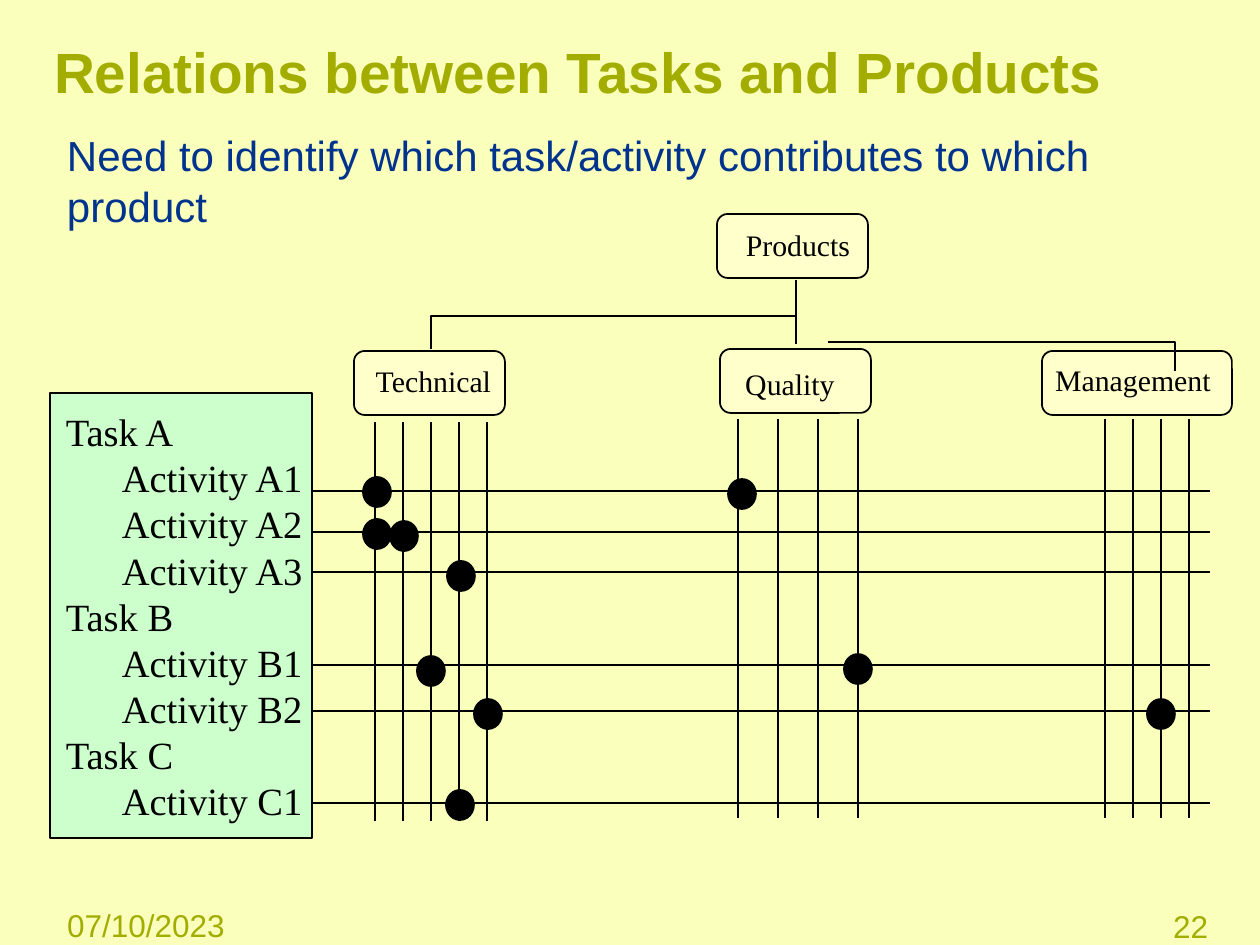
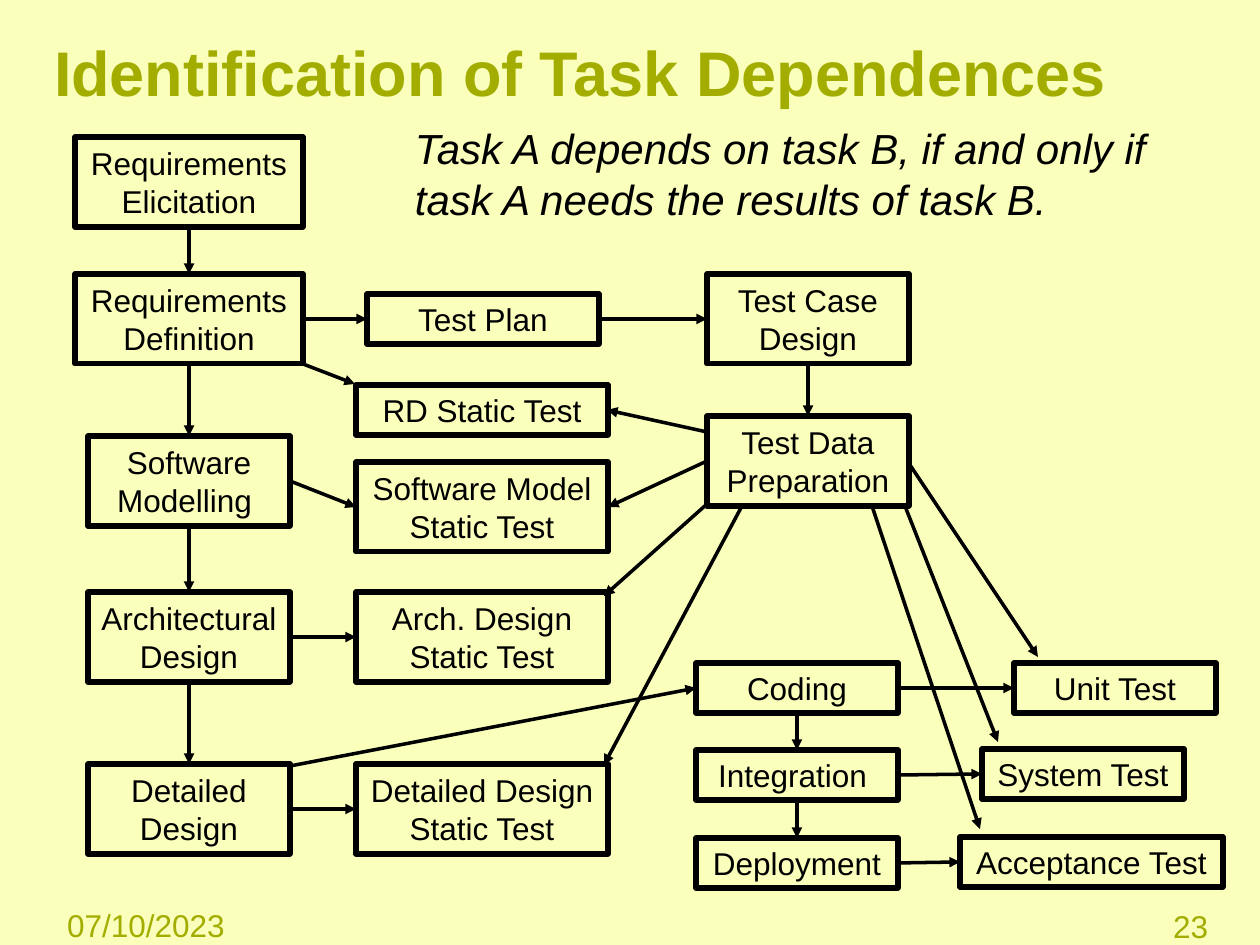
from dataclasses import dataclass

from lxml import etree
from pptx import Presentation
from pptx.dml.color import RGBColor
from pptx.enum.shapes import MSO_CONNECTOR, MSO_SHAPE
from pptx.enum.text import MSO_ANCHOR, PP_ALIGN
from pptx.oxml.ns import qn
from pptx.util import Pt

PX = 914400 / 126
STRAIGHT = MSO_CONNECTOR.STRAIGHT
RECTANGLE, ROUNDED, OVAL = MSO_SHAPE.RECTANGLE, MSO_SHAPE.ROUNDED_RECTANGLE, MSO_SHAPE.OVAL
LEFT, CENTER, RIGHT = PP_ALIGN.LEFT, PP_ALIGN.CENTER, PP_ALIGN.RIGHT
TOP, MIDDLE = MSO_ANCHOR.TOP, MSO_ANCHOR.MIDDLE
SITE_TOP, SITE_LEFT, SITE_BOTTOM, SITE_RIGHT = range(4)


@dataclass(frozen=True)
class Theme:
    paper: RGBColor = RGBColor(0xFB, 0xFF, 0xBC)
    olive: RGBColor = RGBColor(0xA2, 0xAD, 0x00)
    navy: RGBColor = RGBColor(0x00, 0x33, 0x8E)
    ink: RGBColor = RGBColor(0x00, 0x00, 0x00)
    cream: RGBColor = RGBColor(0xFF, 0xFF, 0xCC)
    mint: RGBColor = RGBColor(0xCC, 0xFF, 0xCC)
    sans: str = "Arial"
    serif: str = "Times New Roman"
    lead: int = 24
    task: int = 22
    label: int = 18
    product: int = 17
    leading: float = 1.2
    thin: int = 1
    arrow: int = 2
    frame: int = 3


theme = Theme()


def add_box(page, place, lines=(), size=theme.label, color=theme.ink, font=theme.sans,
            align=LEFT, anchor=TOP, inset=(13, 6), bold=False, italic=False,
            kind=None, fill=None, outline=theme.thin):
    """Add a text box, or a preset shape if kind is given; lines holds (text, indent) pairs."""
    left, top, width, height = [round(value * PX) for value in place]
    if kind is None:
        box = page.shapes.add_textbox(left, top, width, height)
    else:
        box = page.shapes.add_shape(kind, left, top, width, height)
        box.shadow.inherit = False
        box.line.color.rgb = theme.ink
        box.line.width = Pt(outline)
        if fill is None:
            box.fill.background()
        else:
            box.fill.solid()
            box.fill.fore_color.rgb = fill
    frame = box.text_frame
    frame.word_wrap = True
    frame.vertical_anchor = anchor
    frame.margin_left = frame.margin_right = round(inset[0] * PX)
    frame.margin_top = frame.margin_bottom = round(inset[1] * PX)
    for index, (text, indent) in enumerate(lines):
        para = frame.add_paragraph() if index else frame.paragraphs[0]
        para.alignment = align
        para.line_spacing = Pt(size * theme.leading)
        if indent:
            para._p.get_or_add_pPr().set("marL", str(round(indent * PX)))
        span = para.add_run()
        span.text = text
        span.font.name = font
        span.font.size = Pt(size)
        span.font.bold = bold
        span.font.italic = italic
        span.font.color.rgb = color
    return box


def add_line(page, start, end, width=theme.thin, arrow=False):
    points = [round(value * PX) for value in (*start, *end)]
    line = page.shapes.add_connector(STRAIGHT, *points)
    line.line.color.rgb = theme.ink
    line.line.width = Pt(width)
    properties = line.element.spPr
    if arrow:
        etree.SubElement(properties.find(qn("a:ln")), qn("a:tailEnd"), type="triangle")
    etree.SubElement(properties, qn("a:effectLst"))
    return line


deck = Presentation()
deck.slide_width, deck.slide_height = round(1260 * PX), round(945 * PX)

# Background, title and footer of both slides
pages = []
for title, title_size, number in [
    ("Relations between Tasks and Products", 32.4, "22"),
    ("Identification of Task Dependences", 36, "23"),
]:
    page = deck.slides.add_slide(deck.slide_layouts[6])
    page.background.fill.solid()
    page.background.fill.fore_color.rgb = theme.paper
    add_box(page, (54, 26, 1166, 90), [(title, 0)], title_size, theme.olive,
            anchor=MIDDLE, inset=(0, 6), bold=True)
    add_box(page, (54, 900, 236, 45), [("07/10/2023", 0)], color=theme.olive)
    add_box(page, (1115, 901, 106, 45), [(number, 0)], color=theme.olive, align=RIGHT)
    pages.append(page)
relations, dependences = pages

# Relations: product tree
for place in [(717, 214, 151, 64), (354, 351, 151, 64), (720, 349, 151, 64), (1042, 351, 190, 64)]:
    add_box(relations, place, kind=ROUNDED, fill=theme.cream)

for start, corner, end in [
    ((796, 316), (431, 316), (431, 349)),
    ((828, 342), (1175, 342), (1175, 371)),
]:
    builder = relations.shapes.build_freeform(*start, scale=PX)
    builder.add_line_segments([corner, end], close=False)
    branch = builder.convert_to_shape()
    branch.shadow.inherit = False
    branch.fill.background()
    branch.line.color.rgb = theme.ink
    branch.line.width = Pt(theme.thin)
add_line(relations, (796, 280), (796, 344))

for product, place in [
    ("Products", (693, 227, 210, 40)),
    ("Technical", (353, 363, 161, 40)),
    ("Quality", (713, 366, 154, 40)),
    ("Management", (1019, 362, 228, 40)),
]:
    add_box(relations, place, [(product, 0)], theme.product, font=theme.serif,
            align=CENTER, inset=(0, 0))

# Relations: task list
add_box(relations, (50, 393, 262, 445), kind=RECTANGLE, fill=theme.mint)
task_lines = []
for task, activity_count in [("A", 3), ("B", 2), ("C", 1)]:
    task_lines.append((f"Task {task}", 0))
    for step in range(1, activity_count + 1):
        task_lines.append((f"Activity {task}{step}", 56))
add_box(relations, (66, 408, 251, 422), task_lines, theme.task, font=theme.serif, inset=(0, 0))

# Relations: grid of activities against products, with a dot for each contribution
for y in (491, 532, 572, 665, 711, 803):
    add_line(relations, (312, y), (1210, y))
for columns, top in [
    (range(375, 488, 28), 422),
    (range(738, 859, 40), 419),
    (range(1105, 1190, 28), 419),
]:
    for x in columns:
        add_line(relations, (x, top), (x, top + 399))
for x, y in [(377, 492), (742, 494), (377, 534), (404, 536), (461, 576),
             (431, 671), (488, 714), (460, 805), (1161, 714), (858, 669)]:
    add_box(relations, (x - 14, y - 15, 28, 30), kind=OVAL, fill=theme.ink)

add_box(relations, (54, 124, 1106, 115),
        [("Need to identify which task/activity contributes to which product", 0)],
        theme.lead, theme.navy)

# Dependences: definition and task boxes, by column
add_box(dependences, (402, 117, 818, 115),
        [("Task A depends on task B, if and only if task A needs the results of task B.", 0)],
        theme.lead, italic=True)

ONE_LINE, TWO_LINES = 50, 90
task_boxes = {}
for left, width, height, tasks in [
    (75, 228, TWO_LINES, [("Requirements Elicitation", 137), ("Requirements Definition", 274)]),
    (88, 202, TWO_LINES, [("Software Modelling ", 436), ("Architectural Design", 592),
                          ("Detailed Design", 764)]),
    (367, 232, ONE_LINE, [("Test Plan", 294)]),
    (356, 252, ONE_LINE, [("RD Static Test", 385)]),
    (356, 252, TWO_LINES, [("Software Model Static Test", 462), ("Arch. Design Static Test", 592),
                           ("Detailed Design Static Test", 764)]),
    (707, 202, TWO_LINES, [("Test Case Design", 274), ("Test Data Preparation", 416)]),
    (696, 202, ONE_LINE, [("Coding", 663), ("Integration ", 750), ("Deployment", 838)]),
    (1014, 202, ONE_LINE, [("Unit Test", 663)]),
    (982, 202, ONE_LINE, [("System Test", 749)]),
    (960, 263, ONE_LINE, [("Acceptance Test", 837)]),
]:
    for task, top in tasks:
        task_boxes[task] = add_box(
            dependences, (left, top, width, height), [(task, 0)], align=CENTER,
            anchor=MIDDLE, inset=(8, 5), kind=RECTANGLE, outline=theme.frame)

# Dependences: arrows between the middles of two sides
for exit_site, entry_site, chains in [
    (SITE_BOTTOM, SITE_TOP, [
        ("Requirements Elicitation", "Requirements Definition", "Software Modelling ",
         "Architectural Design", "Detailed Design"),
        ("Test Case Design", "Test Data Preparation"),
        ("Coding", "Integration ", "Deployment"),
    ]),
    (SITE_RIGHT, SITE_LEFT, [
        ("Requirements Definition", "Test Plan", "Test Case Design"),
        ("Software Modelling ", "Software Model Static Test"),
        ("Architectural Design", "Arch. Design Static Test"),
        ("Detailed Design", "Detailed Design Static Test"),
        ("Coding", "Unit Test"),
        ("Integration ", "System Test"),
        ("Deployment", "Acceptance Test"),
    ]),
    (SITE_LEFT, SITE_RIGHT, [("Test Data Preparation", "Software Model Static Test")]),
]:
    for chain in chains:
        for source, target in zip(chain, chain[1:]):
            link = add_line(dependences, (0, 0), (0, 0), theme.arrow, arrow=True)
            link.begin_connect(task_boxes[source], exit_site)
            link.end_connect(task_boxes[target], entry_site)

# Dependences: arrows that leave or arrive elsewhere
for start, end in [
    ((303, 364), (355, 384)),
    ((707, 432), (607, 410)),
    ((707, 504), (604, 596)),
    ((742, 506), (604, 765)),
    ((908, 462), (1038, 657)),
    ((905, 506), (998, 742)),
    ((872, 506), (980, 829)),
    ((290, 766), (696, 688)),
]:
    add_line(dependences, start, end, theme.arrow, arrow=True)

deck.save("out.pptx")
